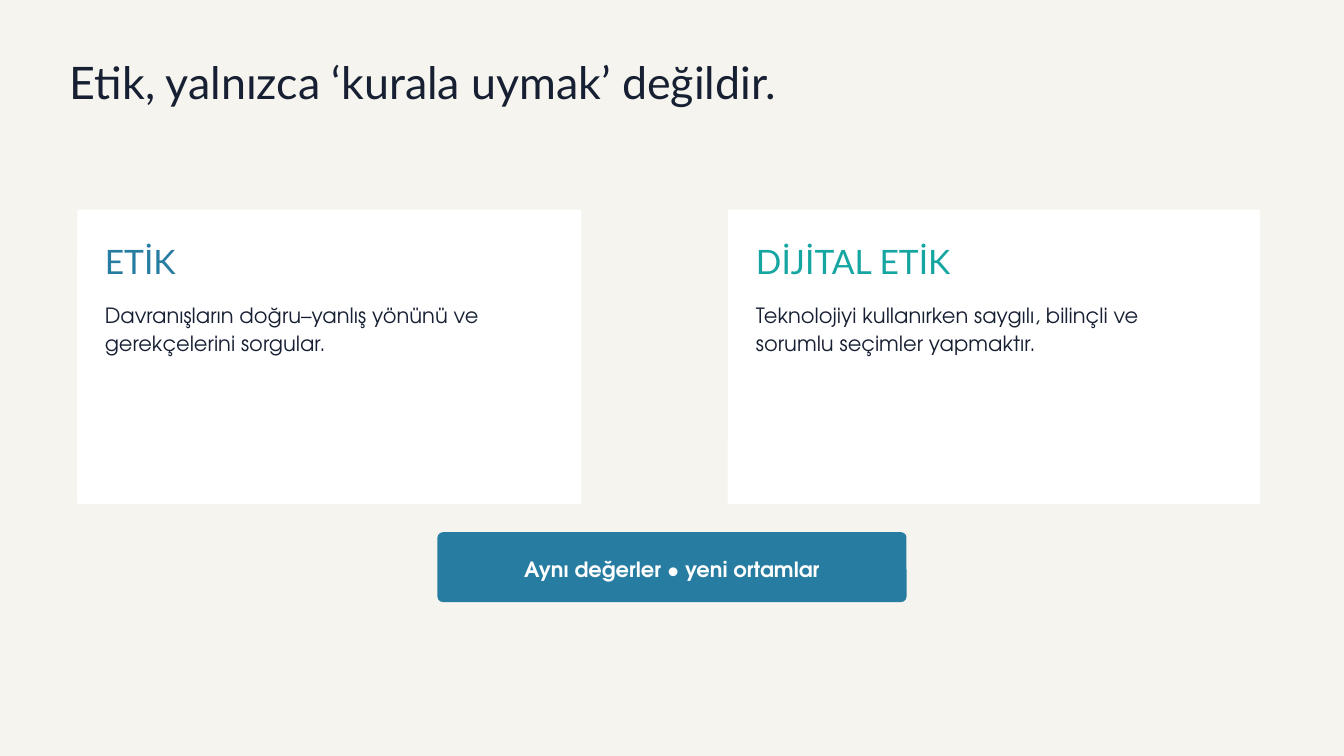
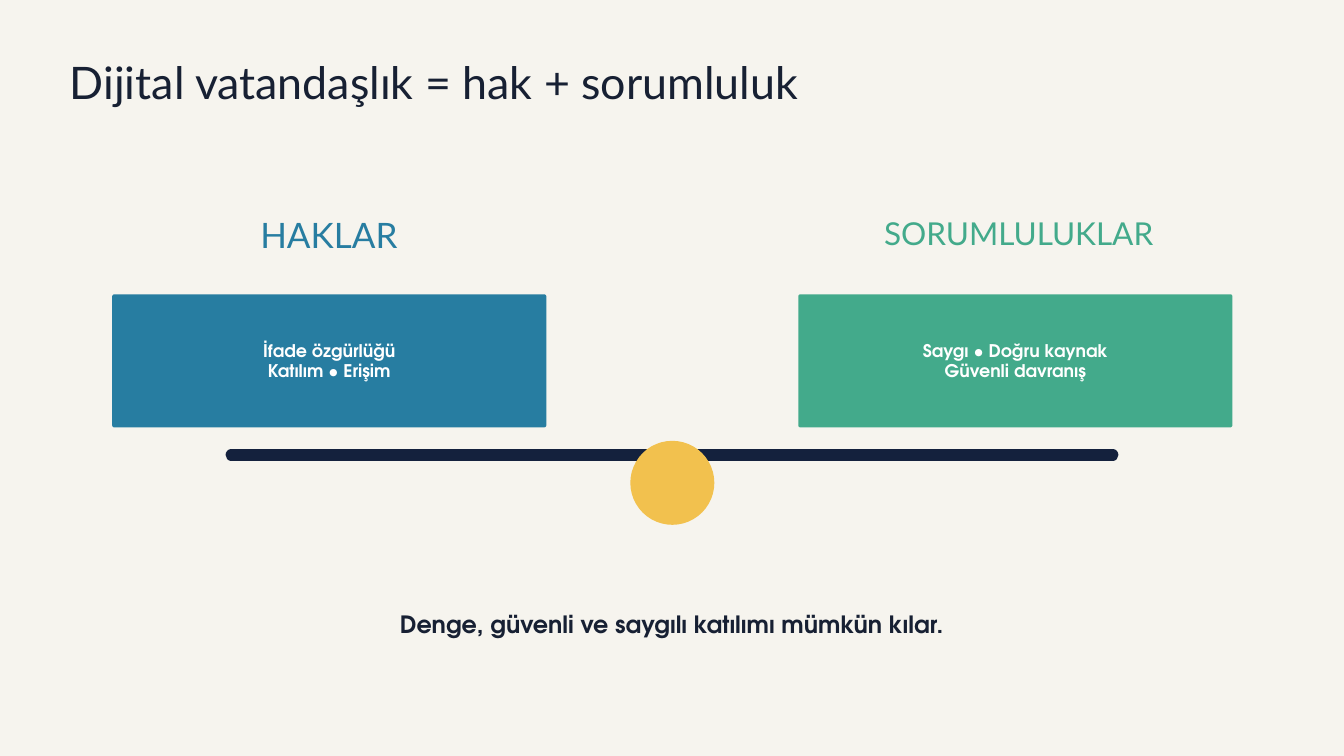
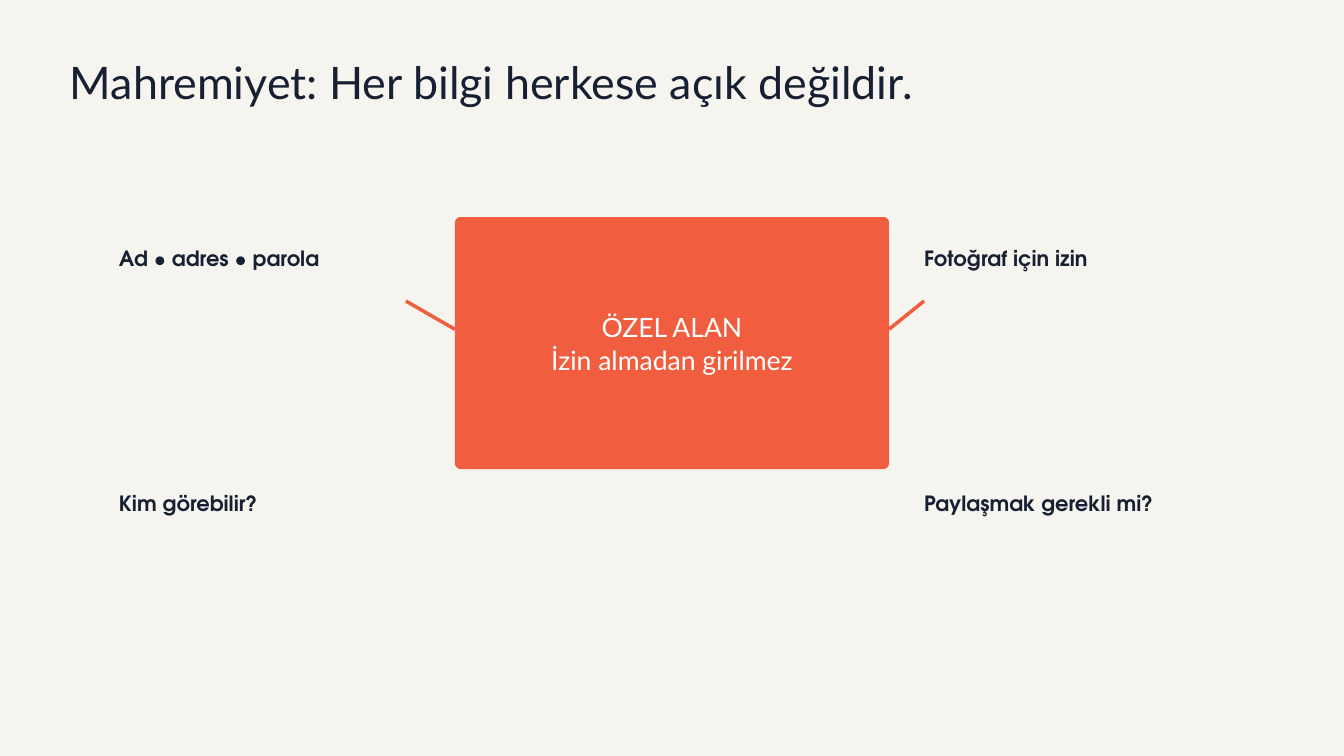
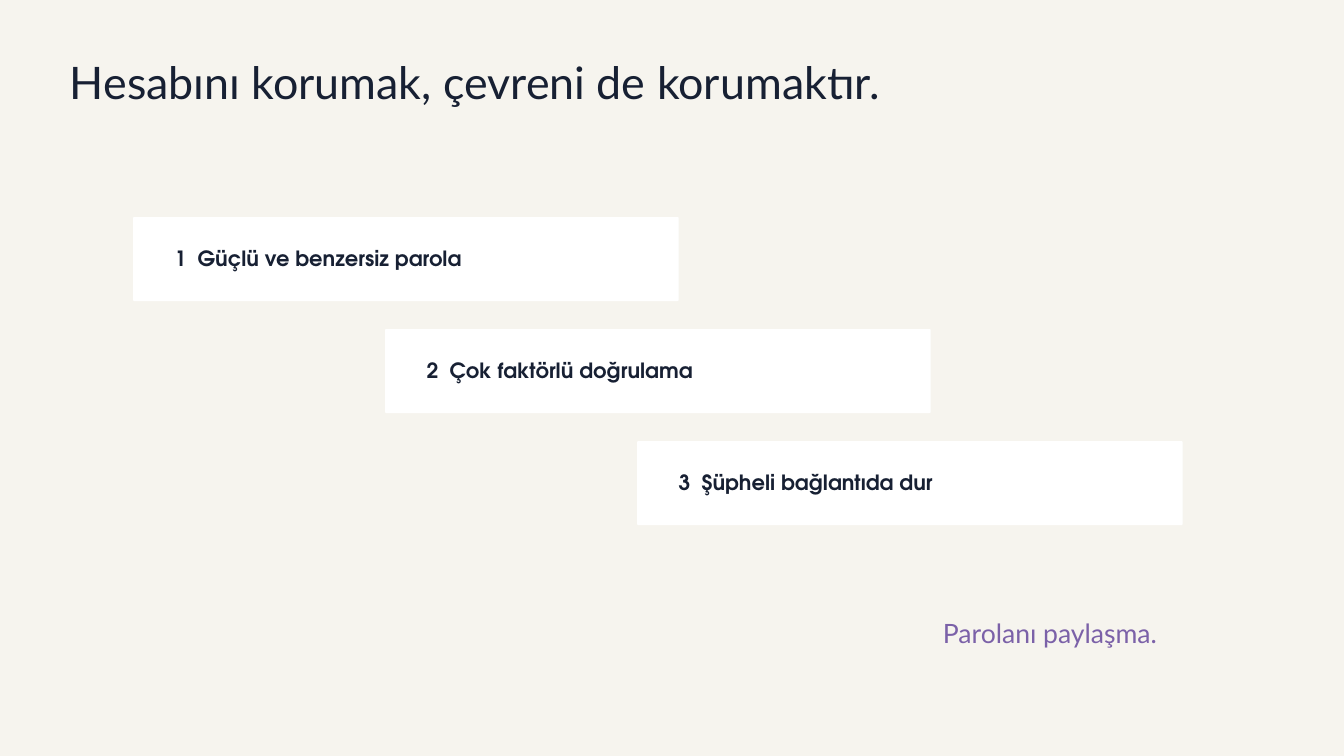
"""Build four slides on digital ethics."""
from dataclasses import dataclass

from lxml.etree import SubElement
from pptx import Presentation
from pptx.dml.color import RGBColor
from pptx.enum.shapes import MSO_CONNECTOR, MSO_SHAPE
from pptx.enum.text import MSO_ANCHOR, MSO_AUTO_SIZE, PP_ALIGN
from pptx.oxml.ns import qn
from pptx.util import Inches, Pt

HUES = {
    "paper": "F6F4EE", "ink": "172033", "navy": "14213D", "white": "FFFFFF",
    "blue": "277DA1", "teal": "16A6A1", "green": "43AA8B", "gold": "F2C14E",
    "coral": "F05D3F", "plum": "7B61A8",
}
HEAD, BODY = "Lato", "TeX Gyre Adventor"
LEFT, MID = PP_ALIGN.LEFT, PP_ALIGN.CENTER


@dataclass(frozen=True)
class Style:
    """Look of a piece of text; lead is the line pitch in points."""
    face: str
    size: float
    lead: float
    hue: str = "ink"
    bold: bool = False
    align: PP_ALIGN = LEFT
    tab: float = 0


@dataclass(frozen=True)
class Area:
    """Place and size in inches."""
    x: float
    y: float
    w: float
    h: float

    def emu(self) -> list:
        """Give the four lengths."""
        return [Inches(v) for v in (self.x, self.y, self.w, self.h)]


@dataclass(frozen=True)
class Card:
    """Rounded box with a fill and a corner radius in inches."""
    area: Area
    hue: str
    curve: float = 0.02


TITLE = Style(HEAD, 48, 51.8)
PLAIN = Style(BODY, 22.5, 30.4)
STRONG = Style(BODY, 22.5, 30.4, bold=True)
STEP = Style(BODY, 22.5, 30.4, bold=True, tab=0.34)
PILL = Style(BODY, 22.5, 31.5, "white", True, MID)
PAIR = Style(BODY, 18.75, 21.6, "white", True, MID)
ZONE = Style(HEAD, 28.5, 35.6, "white", align=MID)
CLAIM = Style(BODY, 25.5, 35.7, bold=True, align=MID)
ALERT = Style(HEAD, 28.5, 39.9, "plum", align=MID)


def rgb(hue: str) -> RGBColor:
    """Look up a colour."""
    return RGBColor.from_string(HUES[hue])


def put(item, vals: dict) -> None:
    """Set attributes from a dict."""
    for key, val in vals.items():
        setattr(item, key, val)


def write(frame, text: str, style: Style, pad: float = 0,
          anchor=MSO_ANCHOR.TOP) -> None:
    """Fill a text frame, one paragraph per line."""
    edges = ("left", "top", "right", "bottom")
    put(frame, {f"margin_{edge}": Inches(pad) for edge in edges})
    put(frame, {"word_wrap": True, "auto_size": MSO_AUTO_SIZE.NONE,
                "vertical_anchor": anchor})
    frame.text = text
    for para in frame.paragraphs:
        if style.tab:
            tabs = SubElement(para._p.get_or_add_pPr(), qn("a:tabLst"))
            SubElement(tabs, qn("a:tab"),
                       {"pos": str(Inches(style.tab)), "algn": "l"})
        put(para, {"alignment": style.align, "line_spacing": Pt(style.lead),
                   "space_before": Pt(0)})
        for run in para.runs:
            put(run.font, {"name": style.face, "size": Pt(style.size),
                           "bold": style.bold})
            run.font.color.rgb = rgb(style.hue)


def label(slide, area: Area, text: str, style: Style) -> None:
    """Add a text box."""
    write(slide.shapes.add_textbox(*area.emu()).text_frame, text, style)


def paint(shape, hue: str) -> None:
    """Give a shape a flat fill."""
    shape.shadow.inherit = False
    shape.fill.solid()
    shape.fill.fore_color.rgb = rgb(hue)
    shape.line.fill.background()


def box(slide, card: Card, text: str = "", style: Style = PLAIN) -> None:
    """Add a card with optional centred text."""
    shape = slide.shapes.add_shape(MSO_SHAPE.ROUNDED_RECTANGLE,
                                   *card.area.emu())
    shape.adjustments[0] = card.curve / min(card.area.w, card.area.h)
    paint(shape, card.hue)
    if text:
        write(shape.text_frame, text, style, 0.06, MSO_ANCHOR.MIDDLE)


def rule(slide, start: tuple, end: tuple, hue: str, width: float,
         cap: str = "flat") -> None:
    """Add a straight line."""
    ends = [Inches(v) for v in (*start, *end)]
    line = slide.shapes.add_connector(MSO_CONNECTOR.STRAIGHT, *ends)
    line.line.color.rgb = rgb(hue)
    line.line.width = Pt(width)
    line.line._ln.set("cap", cap)
    SubElement(line._element.spPr, qn("a:effectLst"))


def start(deck, text: str):
    """Add a slide with its title."""
    slide = deck.slides.add_slide(deck.slide_layouts[5])
    title = slide.shapes.title
    spot = Area(1.04, 0.9, 16.67, 0.74).emu()
    put(title, dict(zip(("left", "top", "width", "height"), spot)))
    write(title.text_frame, text, TITLE)
    return slide


def ethics(deck) -> None:
    """Compare ethics with digital ethics."""
    slide = start(deck, "Etik, yalnızca ‘kurala uymak’ değildir.")
    cards = (
        (1.15, 7.5, 1.56, "blue", "ETİK",
         "Davranışların doğru–yanlış yönünü ve gerekçelerini sorgular."),
        (10.83, 7.92, 11.25, "teal", "DİJİTAL ETİK",
         "Teknolojiyi kullanırken saygılı, bilinçli ve sorumlu seçimler "
         "yapmaktır."),
    )
    for x, w, inner, hue, name, text in cards:
        box(slide, Card(Area(x, 3.12, w, 4.38), "white"))
        label(slide, Area(inner, 3.48, 6.6, 0.66), name,
              Style(HEAD, 36, 50.4, hue))
        label(slide, Area(inner, 4.45, 6.6, 0.82), text, PLAIN)
    box(slide, Card(Area(6.51, 7.92, 6.98, 1.04), "blue", 0.08),
        "Aynı değerler • yeni ortamlar", PILL)


def balance(deck) -> None:
    """Weigh rights against duties."""
    slide = start(deck, "Dijital vatandaşlık = hak + sorumluluk")
    rule(slide, (3.44, 6.77), (16.56, 6.77), "navy", 12, "rnd")
    ball = Area(9.38, 6.56, 1.25, 1.25)
    paint(slide.shapes.add_shape(MSO_SHAPE.OVAL, *ball.emu()), "gold")
    sides = (
        (1.67, "blue", "İfade özgürlüğü\nKatılım • Erişim",
         Area(2.29, 3.08, 5.21, 0.72), "HAKLAR", 37.5, 52.5),
        (11.88, "green", "Saygı • Doğru kaynak\nGüvenli davranış",
         Area(12.19, 3.09, 5.94, 0.64), "SORUMLULUKLAR", 33.75, 47.2),
    )
    for x, hue, text, area, name, size, lead in sides:
        box(slide, Card(Area(x, 4.38, 6.46, 1.98), hue, 0.03), text, PAIR)
        label(slide, area, name, Style(HEAD, size, lead, hue, align=MID))
    label(slide, Area(5, 9.01, 10, 0.47),
          "Denge, güvenli ve saygılı katılımı mümkün kılar.", CLAIM)


def private(deck) -> None:
    """Show the private zone and its questions."""
    slide = start(deck, "Mahremiyet: Her bilgi herkese açık değildir.")
    box(slide, Card(Area(6.77, 3.23, 6.46, 3.75), "coral", 0.08),
        "ÖZEL ALAN\nİzin almadan girilmez", ZONE)
    rows = (
        (3.6, "Ad • adres • parola", "Fotoğraf için izin"),
        (7.25, "Kim görebilir?", "Paylaşmak gerekli mi?"),
    )
    for y, *texts in rows:
        for x, text in zip((1.77, 13.75), texts):
            label(slide, Area(x, y, 4.69, 0.41), text, STRONG)
    rule(slide, (6.04, 4.48), (6.77, 4.9), "coral", 3.75)
    rule(slide, (13.23, 4.9), (13.75, 4.48), "coral", 3.75)


def account(deck) -> None:
    """List the steps that guard an account."""
    slide = start(deck, "Hesabını korumak, çevreni de korumaktır.")
    steps = ("Güçlü ve benzersiz parola", "Çok faktörlü doğrulama",
             "Şüpheli bağlantıda dur")
    for i, text in enumerate(steps):
        x, y = 1.98 + 3.75 * i, 3.23 + 1.667 * i
        box(slide, Card(Area(x, y, 8.12, 1.25), "white"))
        label(slide, Area(x + 0.62, y + 0.38, 7.29, 0.4),
              f"{i + 1}\t{text}", STEP)
    label(slide, Area(13.02, 9.1, 5.21, 0.54), "Parolanı paylaşma.", ALERT)


def main() -> None:
    """Build and save the deck."""
    deck = Presentation()
    put(deck, {"slide_width": Inches(20), "slide_height": Inches(11.25)})
    back = deck.slide_master.background.fill
    back.solid()
    back.fore_color.rgb = rgb("paper")
    for build in (ethics, balance, private, account):
        build(deck)
    deck.save("out.pptx")


if __name__ == "__main__":
    main()
